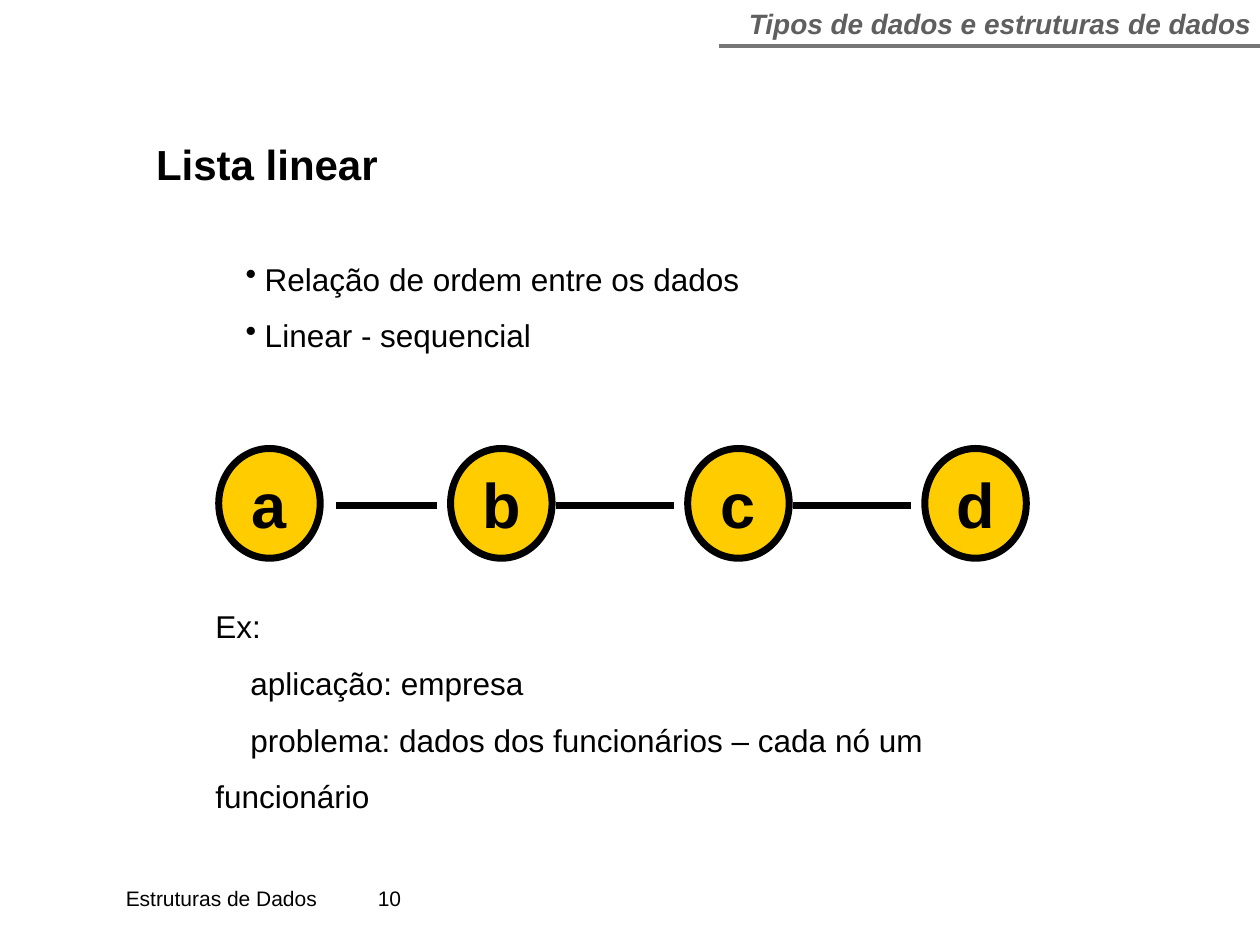
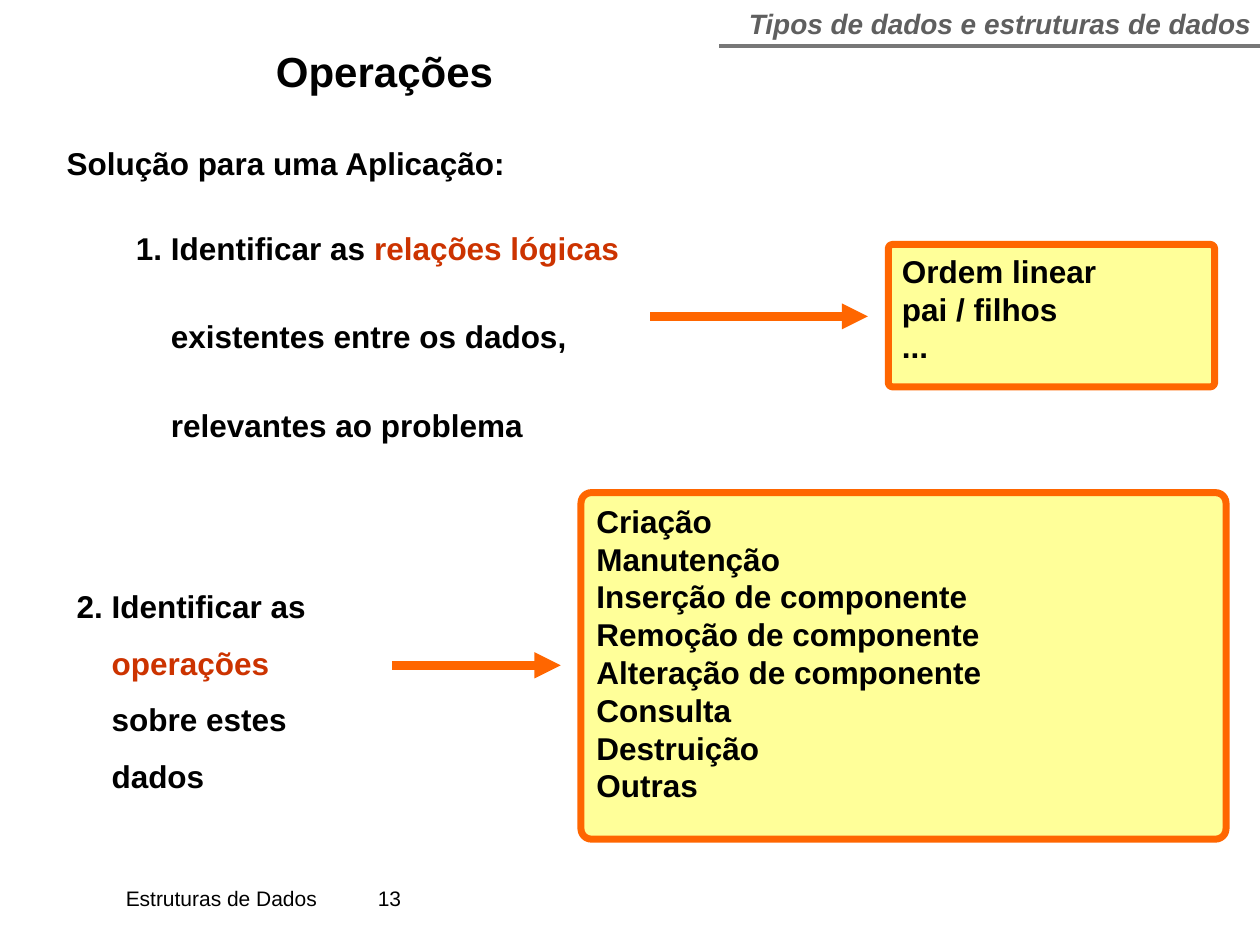
"""Build two slides on linear lists and operations on data structures."""

from dataclasses import dataclass
from typing import NamedTuple

import lxml.etree
import pptx
import pptx.dml.color
import pptx.enum.shapes
import pptx.enum.text
import pptx.oxml.ns
import pptx.util

Pt = pptx.util.Pt
Align = pptx.enum.text.PP_ALIGN
Anchor = pptx.enum.text.MSO_ANCHOR
Shape = pptx.enum.shapes.MSO_SHAPE
qn = pptx.oxml.ns.qn

FACE = "Arial"
HUES = {
    "ink": "000000",
    "grey": "5F5F5F",
    "rule": "777777",
    "red": "CC3300",
    "gold": "FFCC00",
    "cream": "FFFF99",
    "orange": "FF6600",
}


class Rect(NamedTuple):
    left: float
    top: float
    width: float
    height: float


class Stroke(NamedTuple):
    start: float
    end: float
    top: float
    hue: str
    weight: float
    arrow: bool = False


@dataclass(frozen=True)
class Line:
    text: str
    accent: str = ""
    hue: str = "ink"
    size: float = 18
    bold: bool = False
    slant: bool = False
    align: Align = Align.LEFT
    space: float = 1.0
    before: float = 0
    left: float = 0
    first: float = 0
    bullet: str = ""
    tab: float = 0


@dataclass(frozen=True)
class Panel:
    kind: Shape
    rect: Rect
    fill: str
    edge: str
    lines: tuple[Line, ...]
    anchor: Anchor = Anchor.TOP


def paint(hue: str) -> pptx.dml.color.RGBColor:
    return pptx.dml.color.RGBColor.from_string(HUES[hue])


def write(frame, lines: tuple[Line, ...], anchor=Anchor.TOP, pad: float = 7.2) -> None:
    frame.word_wrap = True
    frame.auto_size = pptx.enum.text.MSO_AUTO_SIZE.NONE
    frame.vertical_anchor = anchor
    frame.margin_left = frame.margin_right = Pt(pad)
    frame.margin_top = frame.margin_bottom = Pt(3.6)
    for index, line in enumerate(lines):
        para = frame.add_paragraph() if index else frame.paragraphs[0]
        para.alignment = line.align
        para.line_spacing = line.space
        para.space_before = Pt(line.before)
        props = para._p.get_or_add_pPr()
        props.set("marL", str(Pt(line.left)))
        props.set("indent", str(Pt(line.first)))
        if line.bullet:
            lxml.etree.SubElement(props, qn("a:buChar"), char=line.bullet)
        if line.tab:
            tabs = lxml.etree.SubElement(props, qn("a:tabLst"))
            lxml.etree.SubElement(tabs, qn("a:tab"), pos=str(Pt(line.tab)), algn="r")
        font = para.font
        font.name, font.size = FACE, Pt(line.size)
        font.bold, font.italic = line.bold, line.slant
        font.color.rgb = paint(line.hue)
        para.add_run().text = line.text
        if line.accent:
            run = para.add_run()
            run.text = line.accent
            run.font.color.rgb = paint("red")


def add_text(slide, rect: Rect, *lines: Line, pad: float = 7.2) -> None:
    box = slide.shapes.add_textbox(*map(Pt, rect))
    write(box.text_frame, lines, pad=pad)


def add_panel(slide, panel: Panel) -> None:
    shape = slide.shapes.add_shape(panel.kind, *map(Pt, panel.rect))
    shape.shadow.inherit = False
    if panel.kind == Shape.ROUNDED_RECTANGLE:
        shape.adjustments[0] = 0.03
    shape.fill.solid()
    shape.fill.fore_color.rgb = paint(panel.fill)
    shape.line.color.rgb = paint(panel.edge)
    shape.line.width = Pt(4)
    write(shape.text_frame, panel.lines, panel.anchor)


def add_stroke(slide, stroke: Stroke) -> None:
    ends = map(Pt, (stroke.start, stroke.top, stroke.end, stroke.top))
    link = slide.shapes.add_connector(pptx.enum.shapes.MSO_CONNECTOR.STRAIGHT, *ends)
    link.line.color.rgb = paint(stroke.hue)
    link.line.width = Pt(stroke.weight)
    props = link._element.spPr
    if stroke.arrow:
        lxml.etree.SubElement(props.find(qn("a:ln")), qn("a:tailEnd"), type="triangle")
    lxml.etree.SubElement(props, qn("a:effectLst"))


def add_slide(deck, title: str, rect: Rect, number: int):
    slide = deck.slides.add_slide(deck.slide_layouts[5])
    head = slide.shapes.title
    head.left, head.top, head.width, head.height = map(Pt, rect)
    write(head.text_frame, (Line(title, size=24, bold=True),), Anchor.MIDDLE)
    add_stroke(slide, Stroke(411, 720, 26.3, "rule", 2.25))
    topic = Line("Tipos de dados e estruturas de dados", hue="grey", size=16,
                 bold=True, slant=True, align=Align.CENTER)
    add_text(slide, Rect(423, 0, 297, 26.6), topic, pad=0)
    footer = Line(f"Estruturas de Dados\t{number}", size=12, tab=601)
    add_text(slide, Rect(64.8, 502.5, 629.3, 21.6), footer)
    return slide


def draw_list(deck) -> None:
    slide = add_slide(deck, "Lista linear", Rect(82, 65.5, 165.6, 56.2), 10)
    facts = ("Relação de ordem entre os dados", "Linear - sequencial")
    add_text(slide, Rect(133.2, 134, 298, 72),
             *(Line(fact, space=1.5, left=11, first=-11, bullet="•") for fact in facts))
    for name, left in zip("abcd", (125, 257.5, 393, 528.5)):
        label = Line(name, size=36, bold=True, align=Align.CENTER)
        add_panel(slide, Panel(Shape.OVAL, Rect(left, 256.3, 58, 62.7), "gold", "ink",
                               (label,), Anchor.MIDDLE))
    for start, end in ((192.2, 250), (317.5, 385.2), (453, 520.6)):
        add_stroke(slide, Stroke(start, end, 288.8, "ink", 4))
    add_text(slide, Rect(116, 332.6, 511.2, 137.5),
             Line("Ex:", space=1.5),
             Line("aplicação: empresa", space=1.5, first=20),
             Line("problema: dados dos funcionários – cada nó um funcionário",
                  space=1.5, first=20))


def draw_tasks(deck) -> None:
    slide = add_slide(deck, "Operações", Rect(150.5, 15.1, 153.4, 51.1), 13)
    add_text(slide, Rect(31, 79, 306, 30), Line("Solução para uma Aplicação:", bold=True))
    add_text(slide, Rect(70.6, 116.6, 314.6, 140.4),
             Line("1. Identificar as ", "relações lógicas", bold=True, space=1.5),
             *(Line(text, bold=True, space=1.5, before=18, left=20)
               for text in ("existentes entre os dados,", "relevantes ao problema")))
    add_text(slide, Rect(36.7, 321, 192.2, 104.4),
             Line("2. Identificar as", bold=True, space=1.5),
             Line("operações", hue="red", bold=True, space=1.5, left=20),
             Line("sobre estes dados", bold=True, space=1.5, left=20))
    notes = (
        (Rect(332, 281.5, 368.6, 198),
         ("Criação", "Manutenção", "Inserção de componente", "Remoção de componente",
          "Alteração de componente", "Consulta", "Destruição", "Outras")),
        (Rect(507.6, 139.7, 186.5, 81.4), ("Ordem linear", "pai / filhos", "...")),
    )
    for rect, texts in notes:
        lines = tuple(Line(text, bold=True) for text in texts)
        add_panel(slide, Panel(Shape.ROUNDED_RECTANGLE, rect, "cream", "orange", lines))
    for start, end, top in ((371.5, 496, 180.8), (224, 320.4, 380.2)):
        add_stroke(slide, Stroke(start, end, top, "orange", 5, True))


def main() -> None:
    deck = pptx.Presentation()
    deck.slide_width, deck.slide_height = Pt(720), Pt(540)
    draw_list(deck)
    draw_tasks(deck)
    deck.save("out.pptx")


if __name__ == "__main__":
    main()
